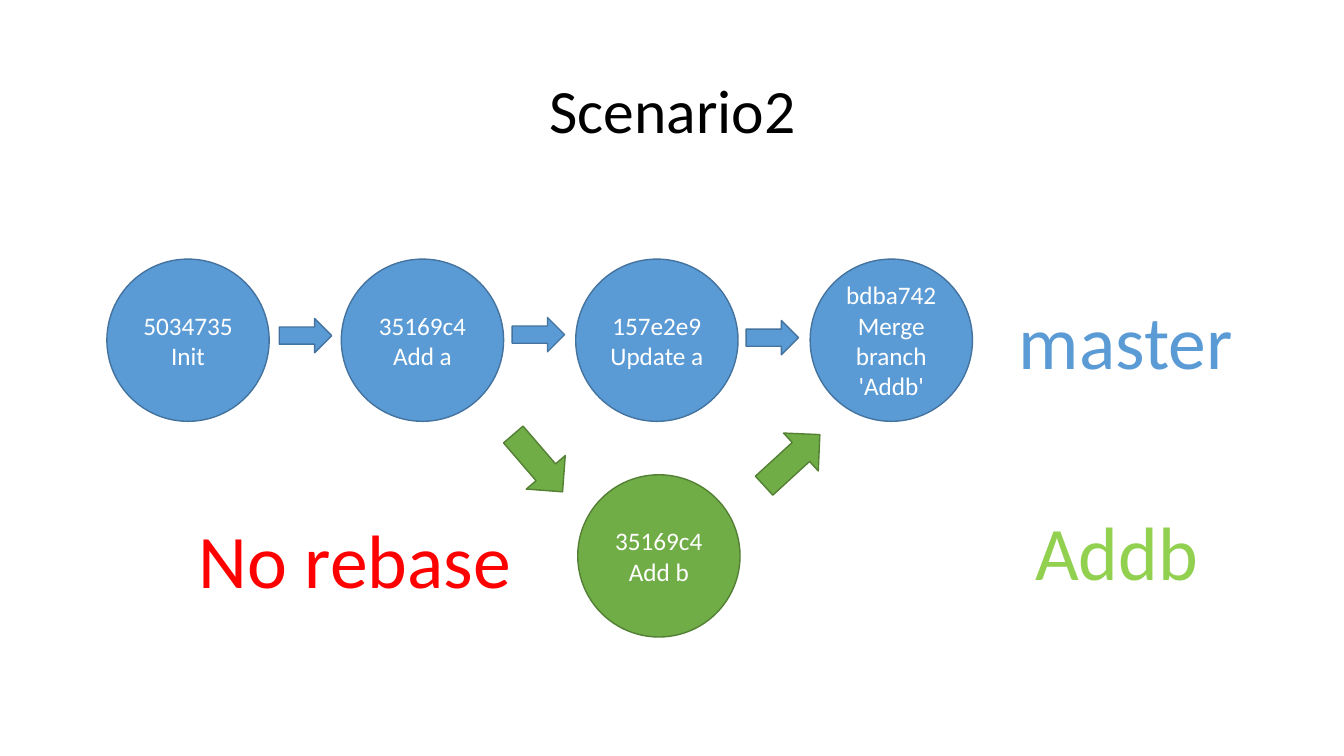
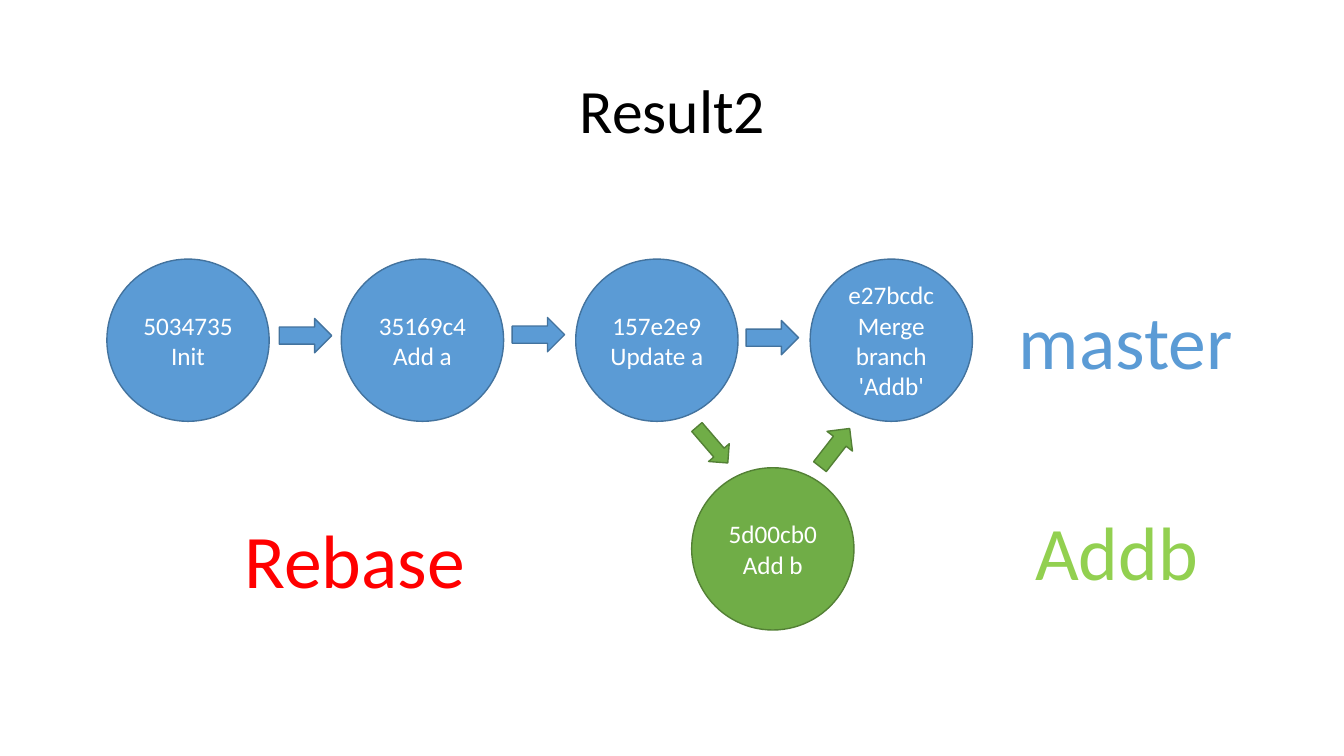
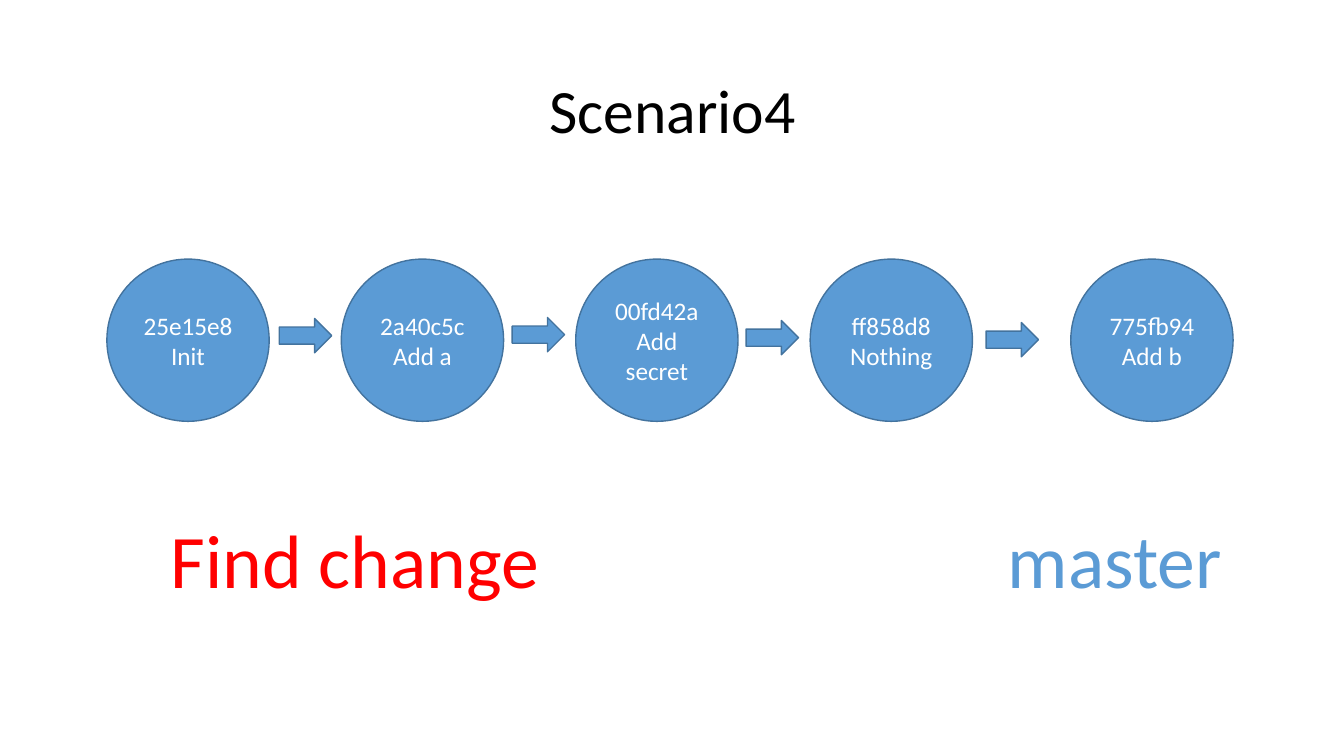
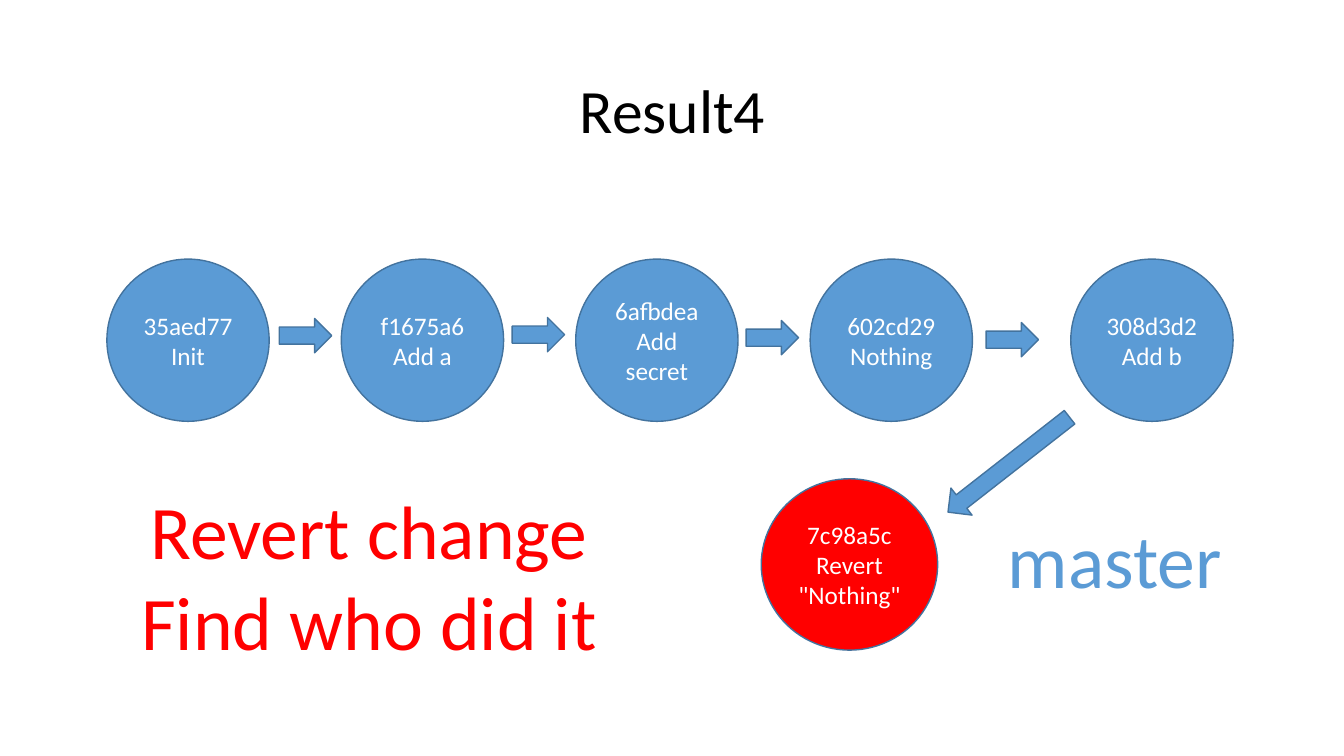
"""Build four slides of commit graphs: two scenarios and their results."""
from collections import namedtuple

from pptx import Presentation
from pptx import util as u
from pptx.dml.color import RGBColor
from pptx.enum import shapes, text

BLUE, BLUE_EDGE = RGBColor(0x5B, 0x9B, 0xD5), RGBColor(0x43, 0x73, 0x9E)
GREEN, GREEN_EDGE = RGBColor(0x70, 0xAD, 0x47), RGBColor(0x53, 0x80, 0x35)
RED, LIME = RGBColor(0xFF, 0, 0), RGBColor(0x92, 0xD0, 0x50)
BLACK, WHITE = RGBColor(0, 0, 0), RGBColor(0xFF, 0xFF, 0xFF)
MASTER, SIDE, REVERT = (BLUE, BLUE_EDGE), (GREEN, GREEN_EDGE), (RED, BLUE_EDGE)
FONT = "Calibri"

Label = namedtuple("Label", "lines box color wrap")
Branch = namedtuple("Branch", "commit box colors")
Turn = namedtuple("Turn", "box angle colors")
Scene = namedtuple("Scene", "title commits labels branches turns")

WIDTH, HEIGHT = 13.33, 7.5
TITLE_BOX = (0.92, 0.4, 11.5, 1.45)
NOTE_BOX = (0.96, 5.04, 5.12, 1.02)
COMMIT_SIZE, COMMIT_TOP = 1.61, 2.57
COMMIT_LEFT, COMMIT_STEP, LAST_LEFT = 1.06, 2.325, 10.62
ARROW_SIZE = (0.52, 0.34)
ARROW_PLACES = [(2.77, 3.16), (5.08, 3.15), (7.4, 3.18), (9.78, 3.2)]

BRANCH_LABELS = [
    Label(["master"], (9.99, 2.87, 2.35, 1.01), BLUE, False),
    Label(["Addb"], (10.16, 4.96, 1.83, 1.01), LIME, False),
]
LOW_MASTER = Label(["master"], (9.88, 5.04, 2.35, 1.01), BLUE, False)
SHARED = [("5034735", "Init"), ("35169c4", "Add a"), ("157e2e9", "Update a")]
MERGE = "Merge branch 'Addb'"
STEPS = ["Init", "Add a", "Add secret", "Nothing", "Add b"]

SCENES = [
    Scene("Scenario2", SHARED + [("bdba742", MERGE)],
          BRANCH_LABELS + [Label(["No rebase"], NOTE_BOX, RED, True)],
          [Branch(("35169c4", "Add b"), (5.73, 4.71, 1.61, 1.61), SIDE)],
          [Turn((4.96, 4.34, 0.75, 0.51), 49.3, SIDE),
           Turn((7.48, 4.31, 0.75, 0.51), 317.5, SIDE)]),
    Scene("Result2", SHARED + [("e27bcdc", MERGE)],
          BRANCH_LABELS + [Label(["Rebase"], NOTE_BOX, RED, True)],
          [Branch(("5d00cb0", "Add b"), (6.86, 4.64, 1.61, 1.61), SIDE)],
          [Turn((6.83, 4.28, 0.47, 0.27), 49.3, SIDE),
           Turn((8.04, 4.28, 0.48, 0.32), 307.9, SIDE)]),
    Scene("Scenario4",
          list(zip(["25e15e8", "2a40c5c", "00fd42a", "ff858d8", "775fb94"], STEPS)),
          [LOW_MASTER, Label(["Find change"], NOTE_BOX, RED, True)], [], []),
    Scene("Result4",
          list(zip(["35aed77", "f1675a6", "6afbdea", "602cd29", "308d3d2"], STEPS)),
          [LOW_MASTER, Label(["Revert change", "Find who did it"],
                             (1.1, 4.75, 5.12, 1.92), RED, True)],
          [Branch(("7c98a5c", 'Revert "Nothing"'), (7.55, 4.75, 1.75, 1.7), REVERT)],
          [Turn((9.24, 4.44, 1.53, 0.34), 142, MASTER)]),
]


def inches(box):
    return [u.Inches(length) for length in box]


def write(frame, lines, size, color, spacing=None):
    for index, line in enumerate(lines):
        paragraph = frame.add_paragraph() if index else frame.paragraphs[0]
        paragraph.alignment = text.PP_ALIGN.CENTER
        paragraph.line_spacing = spacing
        run = paragraph.add_run()
        run.text = line
        run.font.name, run.font.size = FONT, u.Pt(size)
        run.font.color.rgb = color


def add_preset(slide, preset, box, colors):
    shape = slide.shapes.add_shape(preset, *inches(box))
    shape.shadow.inherit = False
    shape.fill.solid()
    shape.fill.fore_color.rgb, shape.line.color.rgb = colors
    shape.line.width = u.Pt(1)
    return shape


def add_commit(slide, commit, box, colors):
    circle = add_preset(slide, shapes.MSO_SHAPE.FLOWCHART_CONNECTOR, box, colors)
    frame = circle.text_frame
    frame.word_wrap = True
    frame.vertical_anchor = text.MSO_ANCHOR.MIDDLE
    write(frame, commit, 18, WHITE)


def add_arrow(slide, box, angle, colors):
    arrow = add_preset(slide, shapes.MSO_SHAPE.RIGHT_ARROW, box, colors)
    arrow.rotation = angle


def add_title(slide, title):
    frame = slide.shapes.add_textbox(*inches(TITLE_BOX)).text_frame
    frame.word_wrap = True
    frame.vertical_anchor = text.MSO_ANCHOR.MIDDLE
    write(frame, [title], 44, BLACK, 0.9)


def add_label(slide, label):
    frame = slide.shapes.add_textbox(*inches(label.box)).text_frame
    frame.word_wrap = label.wrap
    frame.auto_size = text.MSO_AUTO_SIZE.SHAPE_TO_FIT_TEXT
    write(frame, label.lines, 54, label.color)


def build(slide, scene):
    add_title(slide, scene.title)
    for column, commit in enumerate(scene.commits):
        left = LAST_LEFT if column == 4 else COMMIT_LEFT + column * COMMIT_STEP
        add_commit(slide, commit, (left, COMMIT_TOP, COMMIT_SIZE, COMMIT_SIZE), MASTER)
    for place in ARROW_PLACES[:len(scene.commits) - 1]:
        add_arrow(slide, place + ARROW_SIZE, 0, MASTER)
    for branch in scene.branches:
        add_commit(slide, *branch)
    for turn in scene.turns:
        add_arrow(slide, *turn)
    for label in scene.labels:
        add_label(slide, label)


deck = Presentation()
deck.slide_width, deck.slide_height = inches((WIDTH, HEIGHT))
for scene in SCENES:
    build(deck.slides.add_slide(deck.slide_layouts[6]), scene)
deck.save("out.pptx")
